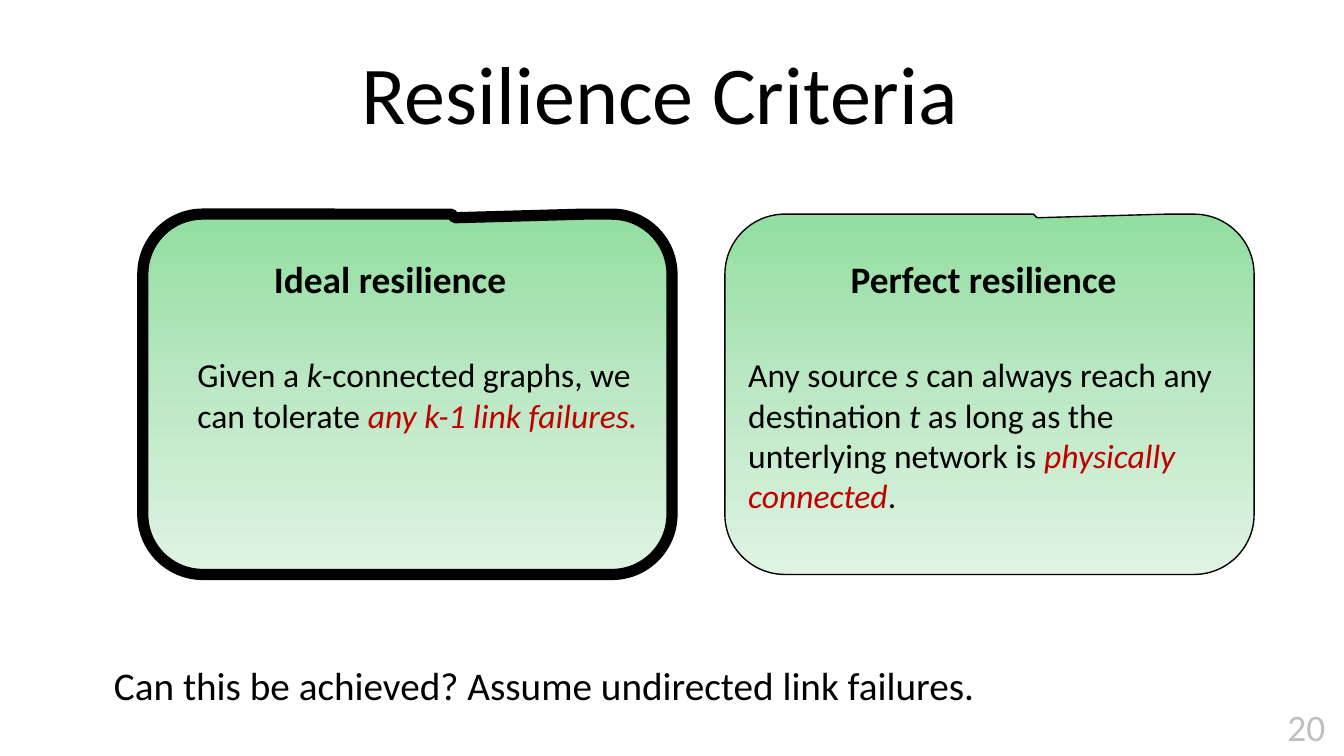
from copy import deepcopy
from dataclasses import dataclass

from lxml.etree import SubElement
from pptx import Presentation
from pptx.dml.color import RGBColor as RGB
from pptx.enum.shapes import MSO_SHAPE as Shape
from pptx.enum.text import MSO_ANCHOR as Anchor, MSO_AUTO_SIZE as AutoSize, PP_ALIGN as Align
from pptx.oxml.ns import qn
from pptx.util import Pt

PX = 5715  # 160 px to the inch


@dataclass(frozen=True)
class Theme:
    font: str = "Calibri"
    ink: RGB = RGB(0, 0, 0)
    accent: RGB = RGB(0xC0, 0, 0)
    muted: RGB = RGB(0xBF, 0xBF, 0xBF)
    gradient: tuple = ("91DEA0", "BDE8C5", "DFF3E3")
    title: int = 44
    question: int = 21
    heading: int = 20
    number: int = 20
    body: int = 18


THEME = Theme()


def place(shape, box):
    shape.left, shape.top, shape.width, shape.height = (value * PX for value in box)


def add_text_box(slide, box):
    shape = slide.shapes.add_textbox(*(value * PX for value in box))
    shape.text_frame.word_wrap = True
    return shape


def style(paragraph, size, color=THEME.ink, align=Align.LEFT, indent=0, bold=False):
    properties = paragraph._p.get_or_add_pPr()
    properties.set("marL", str(indent * PX))
    properties.set("indent", "0")
    SubElement(properties, qn("a:buNone"))
    paragraph.alignment = align
    font = paragraph.font
    font.name, font.size, font.bold = THEME.font, Pt(size), bold
    font.color.rgb = color


def add_title(slide, box, text):
    title = slide.shapes.title
    place(title, box)
    title.text_frame.text = text
    title.text_frame.vertical_anchor = Anchor.MIDDLE
    style(title.text_frame.paragraphs[0], THEME.title, align=Align.CENTER)


def add_callout(slide, box, line_width):
    """Draw a green callout behind the placeholders."""
    callout = slide.shapes.add_shape(Shape.ROUNDED_RECTANGULAR_CALLOUT,
                                     *(value * PX for value in box))
    for index, value in enumerate((0.09, -0.49, 1 / 6)):
        callout.adjustments[index] = value
    callout.shadow.inherit = False
    callout.line.color.rgb = THEME.ink
    callout.line.width = Pt(line_width)

    callout.fill.gradient()
    callout.fill.gradient_angle = 270
    stop_list = callout._element.spPr.find(".//" + qn("a:gsLst"))
    stop_list.insert(1, deepcopy(stop_list[0]))
    for index, (stop, color) in enumerate(zip(callout.fill.gradient_stops, THEME.gradient)):
        stop.position = index / 2
        stop.color.rgb = RGB.from_string(color)
    slide.shapes._spTree.insert(2, callout._element)


def write_criterion(shape, heading, runs, **heading_style):
    """Write a heading and a definition; runs are (text, italic, color)."""
    frame = shape.text_frame
    frame.auto_size = AutoSize.NONE
    frame.vertical_anchor = Anchor.TOP
    frame.margin_top = 60 * PX
    title, definition = frame.paragraphs[0], frame.add_paragraph()
    title.text = heading
    style(title, THEME.heading, bold=True, **heading_style)
    title.space_before = Pt(0)
    style(definition, THEME.body)
    definition.space_before = Pt(28.5)
    for text, italic, color in runs:
        run = definition.add_run()
        run.text = text
        run.font.italic = italic
        run.font.color.rgb = color


def add_criteria(slide, box):
    """Place the two criteria side by side in the box."""
    left, top, width, height = box
    card_width, text_top, text_height = 630, top - 10, height + 22
    right = left + width - card_width
    add_callout(slide, (right, top, card_width, height), 0.75)
    add_callout(slide, (left, top, card_width, height), 6)

    ideal = slide.placeholders[1]
    place(ideal, (left + 49, text_top, 566, text_height))
    write_criterion(ideal, "Ideal resilience", [
        ("Given a ", False, THEME.ink),
        ("k", True, THEME.ink),
        ("-connected graphs, we can tolerate ", False, THEME.ink),
        ("any k-1 link failures.", True, THEME.accent),
    ], indent=91)

    perfect = add_text_box(slide, (right + 12, text_top, 592, text_height))
    write_criterion(perfect, "Perfect resilience", [
        ("Any source ", False, THEME.ink),
        ("s ", True, THEME.ink),
        ("can always reach any destination ", False, THEME.ink),
        ("t ", True, THEME.ink),
        ("as long as the unterlying network is ", False, THEME.ink),
        ("physically connected", True, THEME.accent),
        (".", False, THEME.ink),
    ], align=Align.CENTER)


def add_line(slide, box, text, size, color=THEME.ink, wrap=True):
    frame = add_text_box(slide, box).text_frame
    frame.word_wrap = wrap
    frame.text = text
    style(frame.paragraphs[0], size, color)


def main():
    presentation = Presentation()
    presentation.slide_width, presentation.slide_height = 1600 * PX, 900 * PX
    slide = presentation.slides.add_slide(presentation.slide_layouts[1])
    add_title(slide, (66, 34, 1440, 150), "Resilience Criteria")
    add_criteria(slide, (170, 255, 1323, 429))
    add_line(slide, (120, 779, 1299, 88),
             "Can this be achieved? Assume undirected link failures.", THEME.question)
    add_line(slide, (1517, 830, 78, 70), "20", THEME.number, THEME.muted, wrap=False)
    presentation.save("out.pptx")


if __name__ == "__main__":
    main()
